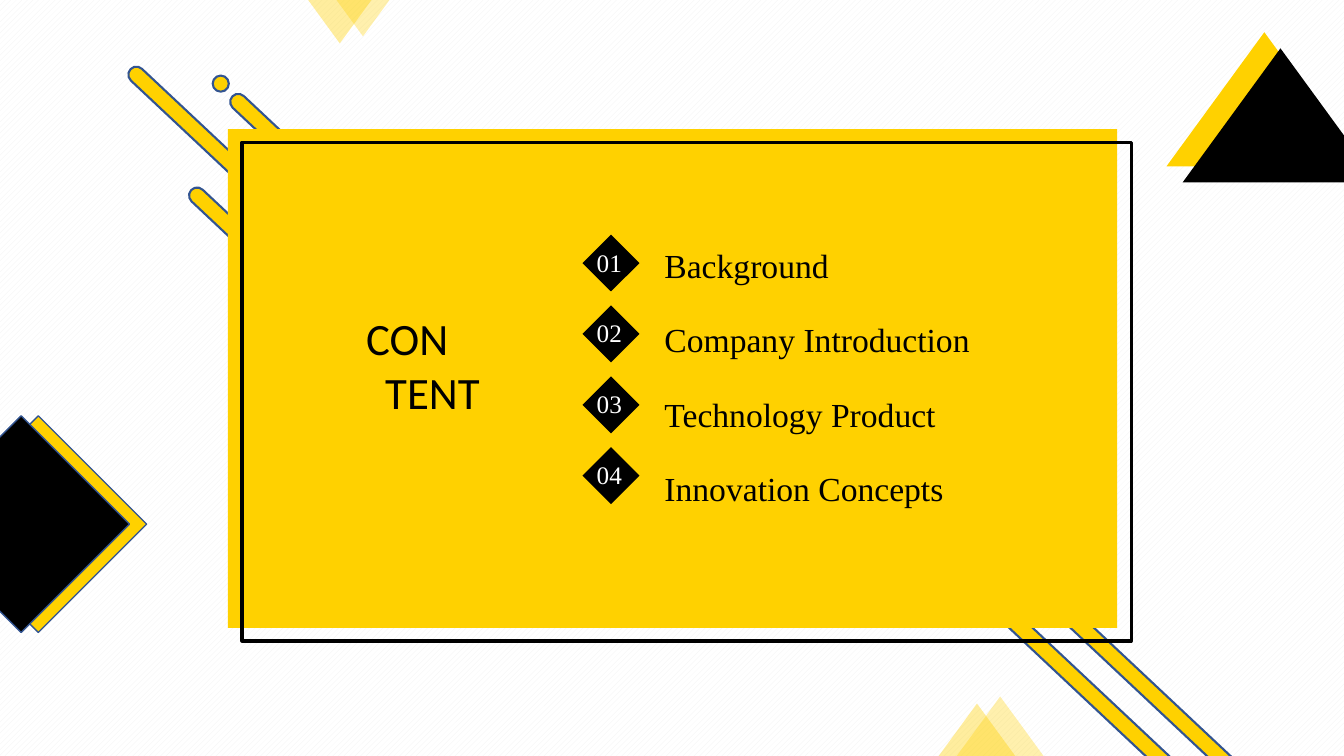
from dataclasses import dataclass

from lxml.etree import SubElement
from pptx import Presentation
from pptx.dml.color import RGBColor
from pptx.dml.fill import FillFormat
from pptx.enum.dml import MSO_PATTERN
from pptx.enum.shapes import MSO_SHAPE
from pptx.enum.text import MSO_ANCHOR, MSO_AUTO_SIZE, PP_ALIGN
from pptx.oxml.ns import qn
from pptx.shapes.base import BaseShape
from pptx.slide import Slide
from pptx.text.text import TextFrame, _Paragraph
from pptx.util import Inches, Pt

GOLD = "FFD100"
BLACK = "000000"
WHITE = "FFFFFF"
BLUE = "325491"
SERIF = "Times New Roman"
BAR = MSO_SHAPE.ROUNDED_RECTANGLE
BOX = MSO_SHAPE.RECTANGLE
PEAK = MSO_SHAPE.ISOSCELES_TRIANGLE
TILT = 43.2
TOPICS = ["Background", "Company Introduction", "Technology Product", "Innovation Concepts"]
STEP = 2.11 / 3


@dataclass
class Piece:
    kind: MSO_SHAPE
    left: float
    top: float
    width: float
    height: float
    fill: str = GOLD
    line: str = ""
    weight: float = 1.5
    turn: float = 0
    alpha: int = 100


def bar(left: float, top: float, width: float) -> Piece:
    return Piece(BAR, left, top, width, 0.16, line=BLUE, turn=TILT)


def peak(left: float, top: float, fill: str = GOLD, turn: float = 0, alpha: int = 100) -> Piece:
    return Piece(PEAK, left, top, 1.94, 1.33, fill, turn=turn, alpha=alpha)


def square(left: float, fill: str) -> Piece:
    return Piece(BOX, left, 4.44, 1.52, 1.52, fill, BLUE, 1, 45)


DECOR = [
    bar(1.78, 2.1, 0.86),
    bar(0.43, 2.79, 6.38),
    bar(1.44, 3.06, 6.38),
    Piece(MSO_SHAPE.OVAL, 2.11, 0.75, 0.16, 0.16, line=BLUE),
    bar(7.13, 5.76, 6.38),
    bar(6.83, 6.05, 6.38),
    Piece(BOX, 2.26, 1.28, 8.82, 4.95),
    Piece(BOX, 2.4, 1.41, 8.82, 4.95, "", BLACK, 2.25),
    square(-0.38, GOLD),
    square(-0.55, BLACK),
    peak(11.57, 0.32),
    peak(11.73, 0.48, BLACK),
    peak(2.4, -0.9, turn=180, alpha=38),
    peak(2.63, -0.97, turn=180, alpha=32),
    peak(8.72, 6.98, alpha=38),
    peak(8.95, 6.91, alpha=32),
]


def paint(fill: FillFormat, code: str) -> None:
    if code:
        fill.solid()
        fill.fore_color.rgb = RGBColor.from_string(code)
    else:
        fill.background()


def draw(slide: Slide, piece: Piece) -> None:
    shape = slide.shapes.add_shape(
        piece.kind, Inches(piece.left), Inches(piece.top), Inches(piece.width), Inches(piece.height)
    )
    shape.shadow.inherit = False
    shape.rotation = piece.turn
    if piece.kind == BAR:
        shape.adjustments[0] = 0.5
    paint(shape.fill, piece.fill)
    paint(shape.line.fill, piece.line)
    if piece.line:
        shape.line.width = Pt(piece.weight)
    if piece.alpha < 100:
        tint = shape.element.spPr.find(f"{qn('a:solidFill')}/{qn('a:srgbClr')}")
        SubElement(tint, qn("a:alpha"), val=str(piece.alpha * 1000))


def write(para: _Paragraph, text: str, size: float, font: str, color: str) -> None:
    run = para.add_run()
    run.text = text
    run.font.size = Pt(size)
    run.font.name = font
    paint(run.font.fill, color)


def place(holder: BaseShape, left: float, top: float, width: float, height: float) -> TextFrame:
    holder.left, holder.top = Inches(left), Inches(top)
    holder.width, holder.height = Inches(width), Inches(height)
    holder.element.getparent().append(holder.element)
    frame = holder.text_frame
    frame.word_wrap = True
    frame.auto_size = MSO_AUTO_SIZE.NONE
    frame.vertical_anchor = MSO_ANCHOR.TOP
    return frame


def add_title(slide: Slide) -> None:
    frame = place(slide.shapes.title, 2.89, 3.03, 2.3, 1.18)
    for i, text in enumerate(["CON", "\tTENT"]):
        para = frame.add_paragraph() if i else frame.paragraphs[0]
        para.alignment = PP_ALIGN.CENTER
        write(para, text, 32, "Calibri", BLACK)


def add_topics(slide: Slide) -> None:
    frame = place(slide.placeholders[1], 6.49, 2.26, 3.6, 2.75)
    for i, text in enumerate(TOPICS):
        para = frame.add_paragraph() if i else frame.paragraphs[0]
        para.alignment = PP_ALIGN.LEFT
        para.line_spacing = 1.3
        para.space_before = Pt(0)
        para.space_after = Pt(15.7)
        props = para._p.get_or_add_pPr()
        props.set("marL", "0")
        props.set("indent", "0")
        SubElement(props, qn("a:buNone"))
        write(para, text, 24, SERIF, BLACK)


def add_marks(slide: Slide) -> None:
    for i in range(len(TOPICS)):
        draw(slide, Piece(BOX, 5.86, 2.41 + i * STEP, 0.4, 0.4, BLACK, turn=45))
        label = slide.shapes.add_textbox(
            Inches(5.82), Inches(2.4 + i * STEP), Inches(0.45), Inches(0.4)
        )
        label.text_frame.word_wrap = False
        write(label.text_frame.paragraphs[0], f"{i + 1:02}", 18, SERIF, WHITE)


def main() -> None:
    deck = Presentation()
    deck.slide_width, deck.slide_height = Inches(13.33), Inches(7.5)
    slide = deck.slides.add_slide(deck.slide_layouts[1])
    back = slide.background.fill
    back.patterned()
    back.pattern = MSO_PATTERN.WIDE_UPWARD_DIAGONAL
    back.fore_color.rgb = RGBColor.from_string("F2F2F2")
    back.back_color.rgb = RGBColor.from_string(WHITE)
    for piece in DECOR:
        draw(slide, piece)
    add_title(slide)
    add_marks(slide)
    add_topics(slide)
    deck.save("out.pptx")


if __name__ == "__main__":
    main()
